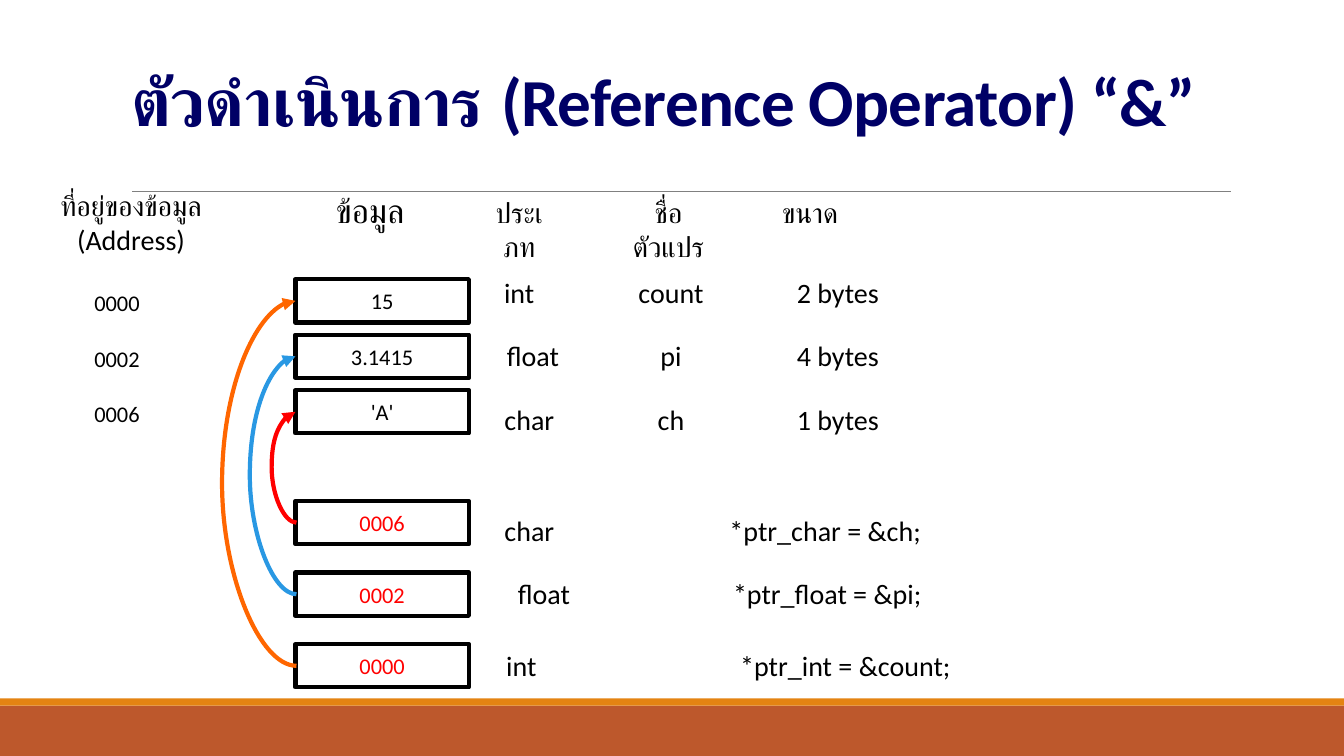
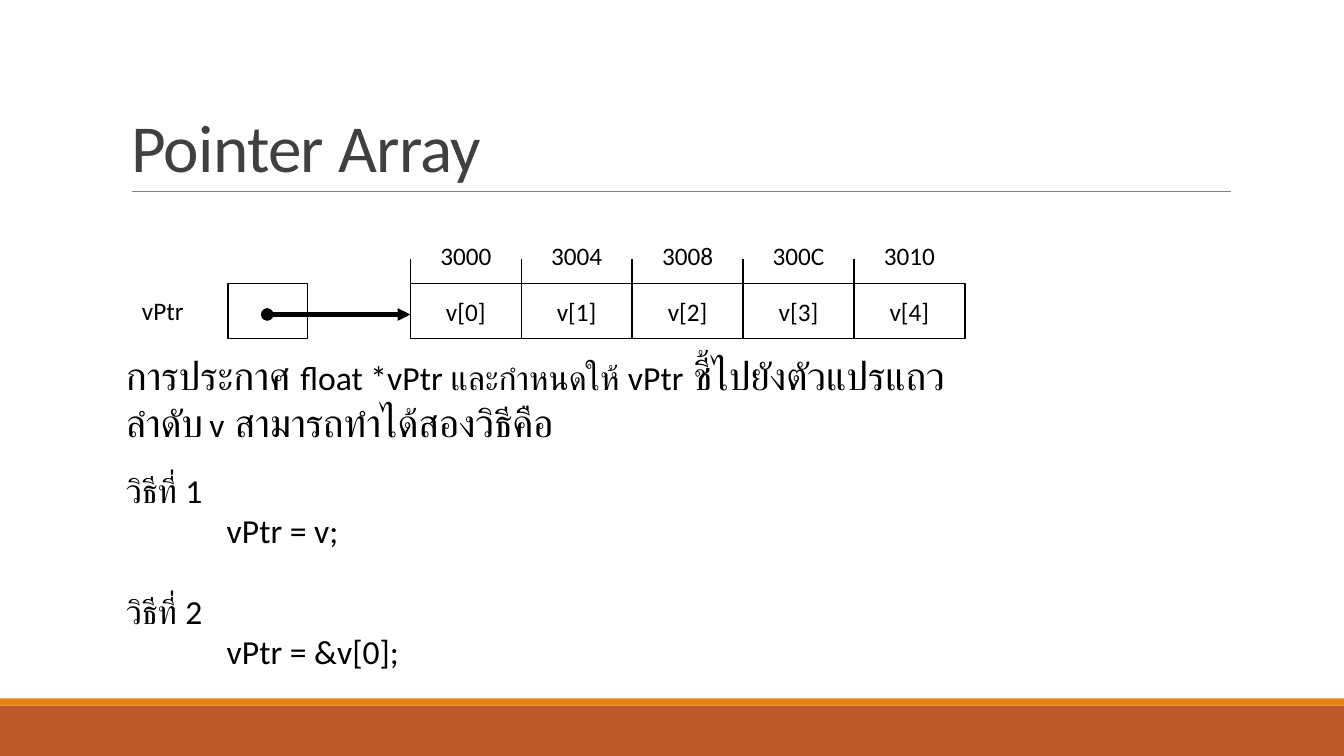
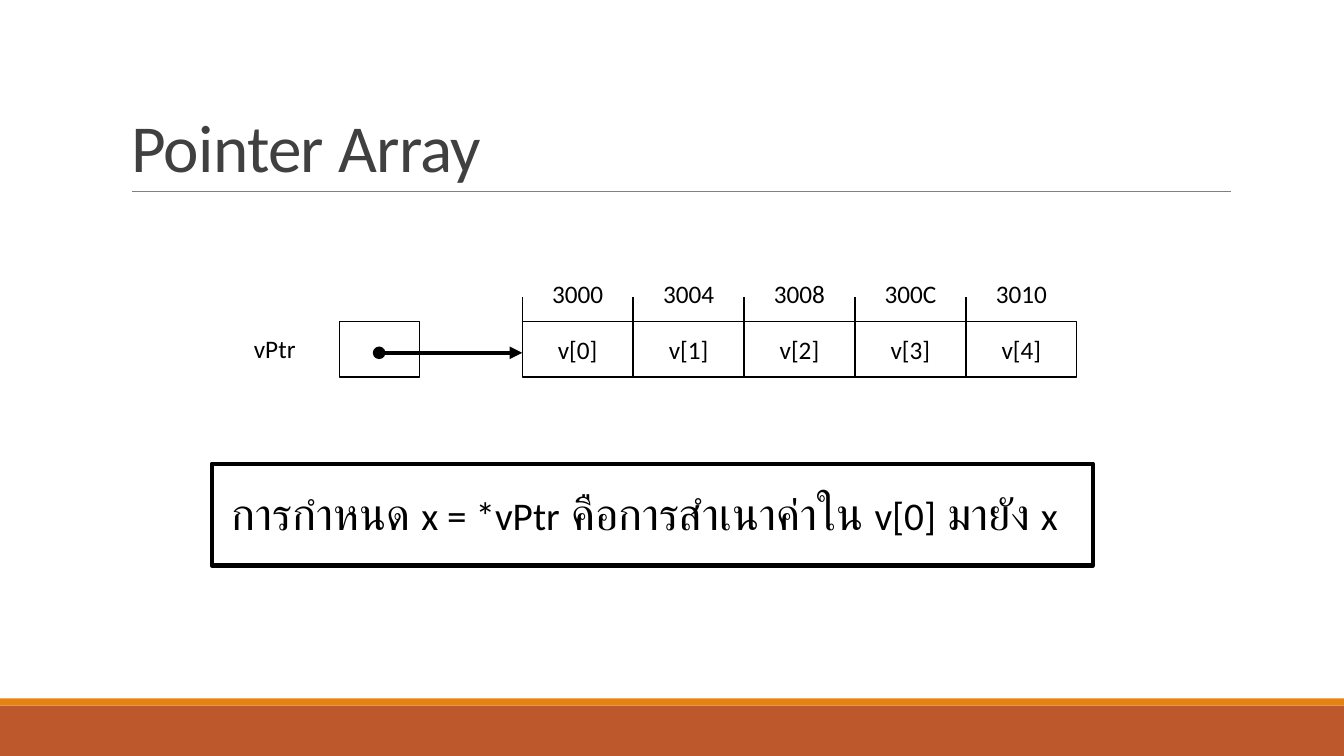
import dataclasses
import lxml.etree
import pptx
import pptx.dml.color
import pptx.enum.shapes
import pptx.enum.text
import pptx.oxml.ns
import pptx.util

Inches = pptx.util.Inches
Pt = pptx.util.Pt
Align = pptx.enum.text.PP_ALIGN
Anchor = pptx.enum.text.MSO_ANCHOR
Shape = pptx.enum.shapes.MSO_SHAPE
Link = pptx.enum.shapes.MSO_CONNECTOR
qn = pptx.oxml.ns.qn


@dataclasses.dataclass(frozen=True)
class Theme:
    """Colours, fonts and type sizes of the deck."""
    ink: str = "000000"
    navy: str = "000066"
    gray: str = "404040"
    rule: str = "808080"
    rust: str = "BD582C"
    gold: str = "E48312"
    red: str = "FF0000"
    blue: str = "2998E3"
    flame: str = "FF6600"
    font: str = "Calibri"
    thai: str = "Lato"
    title: int = 48
    huge: int = 32
    big: int = 28
    head: int = 24
    text: int = 20
    cell: int = 18
    small: int = 16
    thin: int = 1
    bold: int = 3


T = Theme()


def rgb(code):
    """Turn a hex code into a colour."""
    return pptx.dml.color.RGBColor.from_string(code)


def place(box):
    """Turn a box in inches into lengths."""
    return [Inches(v) for v in box]


def style(run, size, color=T.ink, font=T.font, bold=None):
    """Format one run."""
    run.font.size = Pt(size)
    run.font.name = font
    run.font.bold = bold
    run.font.color.rgb = rgb(color)


def write(shape, text, size, color=T.ink, align=Align.CENTER, wrap=True):
    """Fill a shape with text in one style."""
    frame = shape.text_frame
    frame.word_wrap = wrap
    frame.text = text
    for para in frame.paragraphs:
        para.alignment = align
        for run in para.runs:
            style(run, size, color)


def mix(para, parts):
    """Add runs of differing size and font to a paragraph."""
    para.alignment = Align.LEFT
    for text, size, font in parts:
        run = para.add_run()
        run.text = text
        style(run, size, font=font)


def label(shapes, box, text, size=T.text, **opts):
    """Add a text box."""
    item = shapes.add_textbox(*place(box))
    write(item, text, size, **opts)
    return item


def rect(shapes, box, fill=None, width=None):
    """Add a rectangle, filled or outlined in ink."""
    item = shapes.add_shape(Shape.RECTANGLE, *place(box))
    item.shadow.inherit = False
    if fill:
        item.fill.solid()
        item.fill.fore_color.rgb = rgb(fill)
    else:
        item.fill.background()
    if width:
        item.line.color.rgb = rgb(T.ink)
        item.line.width = Pt(width)
    else:
        item.line.fill.background()
    return item


def cell(shapes, box, text, size, width, color=T.ink):
    """Add an outlined rectangle with centred text."""
    item = rect(shapes, box, width=width)
    write(item, text, size, color, wrap=False)
    return item


def line(shapes, ends, color, width, kind=Link.STRAIGHT, **tips):
    """Add a connector with optional head and tail tips."""
    item = shapes.add_connector(kind, *place(ends))
    item.line.color.rgb = rgb(color)
    item.line.width = Pt(width)
    ln = item.line._ln
    for name, shape in tips.items():
        lxml.etree.SubElement(ln, qn(f"a:{name}End"), type=shape)
    lxml.etree.SubElement(item._element.spPr, qn("a:effectLst"))
    return item


def curve(shapes, start, end, reach, color):
    """Join the left sides of two cells with a curve bulging left."""
    gap = 0.01
    x1, y1 = start.left.inches, (start.top + start.height // 2).inches if hasattr(
        start.top + start.height // 2, "inches") else (start.top + start.height / 2) / Inches(1)
    y2 = (end.top + end.height / 2) / Inches(1)
    item = line(shapes, (x1 + gap, y1, x1, y2), color, T.bold, Link.CURVE,
                tail="triangle")
    item.begin_connect(start, 1)
    item.end_connect(end, 1)
    item.begin_x = start.left + Inches(gap)
    props = item._element.spPr
    form = props.find(qn("a:xfrm"))
    for flip in ("flipH", "flipV"):
        form.attrib.pop(flip, None)
    form.set("rot", "10800000")
    guides = props.find(qn("a:prstGeom")).find(qn("a:avLst"))
    lxml.etree.SubElement(guides, qn("a:gd"), name="adj1",
                          fmla=f"val {round(reach / gap * 100000)}")


def page(deck, title, color=T.gray, bold=None, high=1.59):
    """Add a slide with its title, rule and bottom bands."""
    slide = deck.slides.add_slide(deck.slide_layouts[5])
    rect(slide.shapes, (0, 7, 13.33, 0.5), T.rust)
    rect(slide.shapes, (0, 6.93, 13.33, 0.07), T.gold)
    line(slide.shapes, (1.31, 1.9, 12.21, 1.9), T.rule, 0.5)
    head = slide.shapes.title
    head.left, head.top, head.width, head.height = place((1.2, 0.31, 11, high))
    frame = head.text_frame
    frame.text = title
    frame.word_wrap = True
    frame.auto_size = pptx.enum.text.MSO_AUTO_SIZE.NONE
    frame.vertical_anchor = Anchor.BOTTOM
    para = frame.paragraphs[0]
    para.alignment = Align.LEFT
    para.line_spacing = 0.85
    for run in para.runs:
        style(run, T.title, color, bold=bold)
        run.font._element.set("spc", "-50")
    return slide


def heads(shapes, x, y):
    """Add the column headings of the memory chart."""
    rows = (
        (0, 0, 1.66, "ที่อยู่ของข้อมูล\n(Address)", T.text),
        (2.46, 0.01, 1.48, "ข้อมูล", T.head),
        (4.28, 0.07, 0.8, "ประเภท", T.text),
        (5.67, 0.07, 0.98, "ชื่อตัวแปร", T.text),
        (7.06, 0.07, 1.01, "ขนาด", T.text),
    )
    for dx, dy, wide, text, size in rows:
        label(shapes, (x + dx, y + dy, wide, 0.39), text, size)


def values(shapes, x, y):
    """Add the rows of variables and return their cells."""
    rows = (
        ("15", "0000", "int", 1.82, 0.8, "count", "2 bytes"),
        ("3.1415", "0002", "float", 1.71, 1.29, "pi", "4 bytes"),
        ("'A'", "0006", "char", 1.86, 0.92, "ch", "1 bytes"),
    )
    cells = []
    for i, (value, spot, kind, dx, wide, name, size) in enumerate(rows):
        top = y + 0.55 * i
        cells.append(cell(shapes, (x, top, 1.72, 0.43), value, T.small, T.bold))
        label(shapes, (x - 2.11, top + 0.05, 0.68, 0.34), spot, T.small,
              wrap=False)
        base = y - 0.09 + 0.63 * i
        label(shapes, (x + dx, base, wide, 0.39), kind)
        label(shapes, (x + 3.17, base, 1.11, 0.39), name)
        label(shapes, (x + 4.72, base, 1.32, 0.39), size)
    return cells


def pointers(shapes, x, y):
    """Add the rows of pointers and return their cells."""
    rows = (
        ("0006", "char", 1.86, 0.92, "*ptr_char = &ch;", 3.72, 3.07, 0.07),
        ("0002", "float", 1.91, 1.11, "*ptr_float = &pi;", 3.83, 2.89, 0.7),
        ("0000", "int", 1.78, 0.92, "*ptr_int = &count;", 3.84, 3.23, 1.41),
    )
    cells = []
    for i, (spot, kind, dx, wide, code, cx, span, dy) in enumerate(rows):
        cells.append(cell(shapes, (x, y + 0.71 * i, 1.72, 0.43), spot,
                          T.small, T.bold, T.red))
        label(shapes, (x + dx, y + dy, wide, 0.39), kind)
        label(shapes, (x + cx, y + dy, span, 0.39), code)
    return cells


def array(slide, x, y):
    """Draw a pointer aimed at a five-cell array, from its label's left."""
    shapes = slide.shapes.add_group_shape().shapes
    wide, high, start = 1.1, 0.55, x + 2.76
    for i, spot in enumerate(("3000", "3004", "3008", "300C", "3010")):
        left = start + wide * i
        cell(shapes, (left, y, wide, high), f"v[{i}]", T.cell, T.thin)
        tag = label(shapes, (left, y - high, wide, high), spot, T.cell,
                    wrap=False)
        tag.text_frame.vertical_anchor = Anchor.MIDDLE
        line(shapes, (left, y - 0.24, left, y + 0.07), T.ink, T.thin)
    rect(shapes, (x + 0.95, y, 0.79, high), width=T.thin)
    line(shapes, (x + 1.34, y + 0.31, start, y + 0.31), T.ink, T.bold,
         head="oval", tail="triangle")
    label(shapes, (x, y + 0.07, 0.87, 0.43), "vPtr", T.cell,
          align=Align.LEFT, wrap=False)


def ways(slide, box):
    """Write the two ways of aiming the pointer."""
    frame = slide.shapes.add_textbox(*place(box)).text_frame
    frame.word_wrap = True
    mix(frame.paragraphs[0], (
        ("การประกาศ ", T.big, T.font),
        ("float *vPtr และกำหนดให้ vPtr", T.head, T.font),
        (" ชี้ไปยังตัวแปรแถวลำดับ", T.big, T.thai),
        (" ", T.cell, T.thai),
        ("v", T.head, T.font),
        (" สามารถทำได้สองวิธีคือ", T.big, T.thai),
    ))
    rows = (("วิธีที่ 1", 17, 0), ("vPtr = v;", 0, 1),
            ("วิธีที่ 2", 29, 0), ("vPtr = &v[0];", 0, 1))
    for text, gap, inset in rows:
        para = frame.add_paragraph()
        para.text = text
        para.space_before = Pt(gap)
        para._p.get_or_add_pPr().set("marL", str(Inches(inset)))
        style(para.runs[0], T.head)


def note(slide, box):
    """Add the framed remark on copying a value."""
    frame = rect(slide.shapes, box, width=T.bold).text_frame
    frame.word_wrap = True
    frame.vertical_anchor = Anchor.TOP
    frame.margin_left, frame.margin_top = Inches(0.2), Inches(0.22)
    mix(frame.paragraphs[0], (
        ("การกำหนด ", T.huge, T.font),
        ("x = *vPtr", T.big, T.font),
        (" คือการสำเนาค่าใน ", T.huge, T.thai),
        ("v[0]", T.big, T.font),
        (" มายัง ", T.huge, T.thai),
        ("x", T.big, T.font),
    ))


def memory(deck):
    """Build the slide on the reference operator."""
    slide = page(deck, "ตัวดำเนินการ (Reference Operator) “&”", T.navy, True, 1.13)
    shapes = slide.shapes
    heads(shapes, 0.47, 1.82)
    goals = values(shapes, 2.93, 2.77)
    starts = pointers(shapes, 2.93, 4.97)
    looks = ((0.25, T.red), (0.47, T.blue), (0.75, T.flame))
    for start, goal, (reach, color) in zip(starts, reversed(goals), looks):
        curve(shapes, start, goal, reach, color)


def main():
    """Build and save the deck."""
    deck = pptx.Presentation()
    deck.slide_width, deck.slide_height = Inches(13.33), Inches(7.5)
    memory(deck)
    slide = page(deck, "Pointer Array")
    ways(slide, (1.15, 3.44, 8.66, 3.26))
    array(slide, 1.31, 2.81)
    slide = page(deck, "Pointer Array")
    note(slide, (2.1, 4.6, 8.74, 1.01))
    array(slide, 2.42, 3.19)
    deck.save("out.pptx")


if __name__ == "__main__":
    main()
